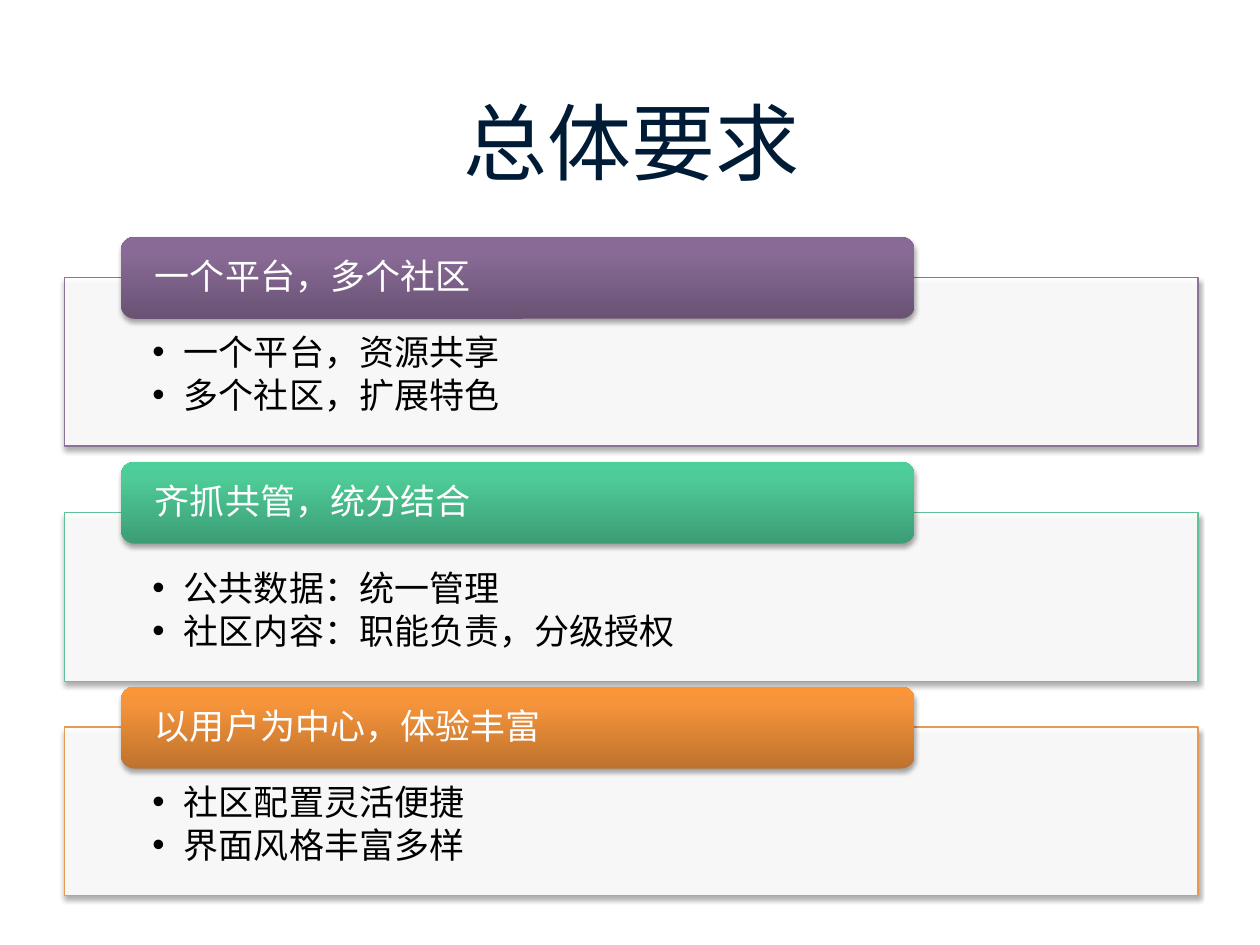
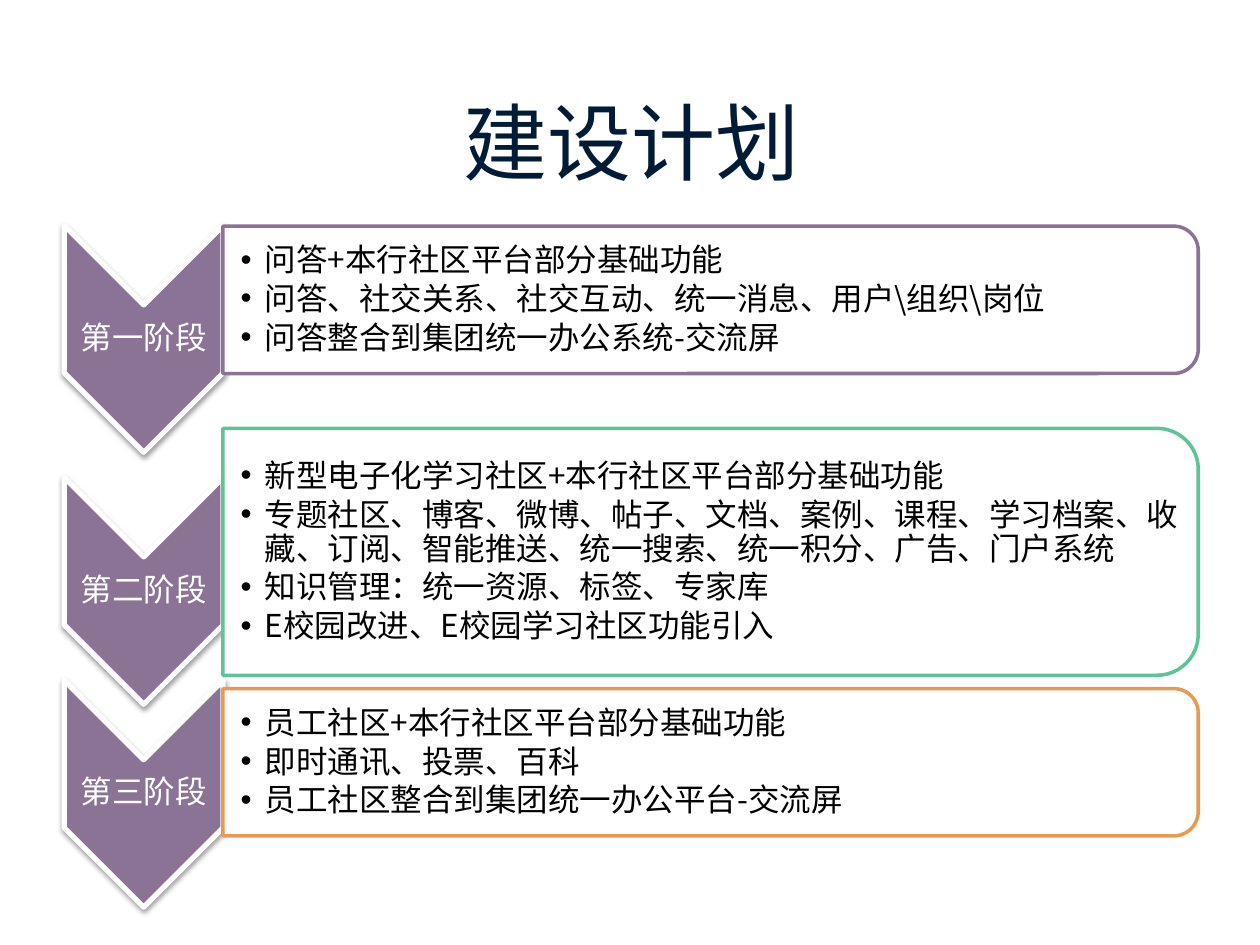
"""Builds two slides: overall requirements and the construction plan."""
from lxml import etree
from pptx import Presentation
from pptx import util as u
from pptx.dml.color import RGBColor
from pptx.enum import shapes, text
from pptx.oxml import ns

CELL = u.Inches(0.1)
LEFT, WIDTH = 5.1, 90
LATIN, CHINESE = "Arial", "Noto Sans CJK SC"
NAVY, WHITE, BLACK = "001B36", "FFFFFF", "000000"
PURPLE, GREEN, ORANGE = "8B7396", "5FC399", "E89A53"
CORNER_SHARE = 0.1667 * 0.293

REQUIREMENTS = [
    ("一个平台，多个社区", ["一个平台，资源共享", "多个社区，扩展特色"],
     22, PURPLE, ("695274", "896A96", "8A6A98")),
    ("齐抓共管，统分结合", ["公共数据：统一管理", "社区内容：职能负责，分级授权"],
     40.7, GREEN, ("3C9D74", "4ECB97", "4CCF98")),
    ("以用户为中心，体验丰富", ["社区配置灵活便捷", "界面风格丰富多样"],
     57.7, ORANGE, ("BE722D", "F6943B", "FB9537")),
]
STAGES = [
    ("第一阶段", 17.9, 17.95, 11.7, PURPLE,
     ["问答+本行社区平台部分基础功能",
      "问答、社交关系、社交互动、统一消息、用户\\组织\\岗位",
      "问答整合到集团统一办公系统-交流屏"]),
    ("第二阶段", 37.9, 34, 19.6, GREEN,
     ["新型电子化学习社区+本行社区平台部分基础功能",
      "专题社区、博客、微博、帖子、文档、案例、课程、学习档案、收藏、"
      "订阅、智能推送、统一搜索、统一积分、广告、门户系统",
      "知识管理：统一资源、标签、专家库",
      "E校园改进、E校园学习社区功能引入"]),
    ("第三阶段", 54, 54.65, 11.7, ORANGE,
     ["员工社区+本行社区平台部分基础功能",
      "即时通讯、投票、百科",
      "员工社区整合到集团统一办公平台-交流屏"]),
]


def rgb(value):
    """Turn a hex string into a colour."""
    return RGBColor.from_string(value)


def cells(*counts):
    """Turn counts of grid cells into lengths."""
    return [u.Emu(round(count * CELL)) for count in counts]


def add_child(parent, tag, **attributes):
    """Append a drawing element with the given attributes."""
    values = {key: str(value) for key, value in attributes.items()}
    return etree.SubElement(parent, ns.qn(tag), values)


def add_form(page, kind, area, fill=None, line=None, weight=0, turned=False):
    """Add a preset shape covering the area, turned a quarter if asked."""
    left, top, width, height = area
    if turned:
        left, top = left + (width - height) / 2, top + (height - width) / 2
        width, height = height, width
    shape = page.shapes.add_shape(kind, *cells(left, top, width, height))
    shape.rotation = 90 if turned else 0
    shape.shadow.inherit = False
    if fill:
        shape.fill.solid()
        shape.fill.fore_color.rgb = rgb(fill)
    if line:
        shape.line.color.rgb = rgb(line)
        shape.line.width = u.Pt(weight)
    else:
        shape.line.fill.background()
    return shape


def set_shadow(shape, opacity, distance):
    """Give a shape a soft black shadow below it."""
    effects = shape._element.spPr.find(ns.qn("a:effectLst"))
    shadow = add_child(effects, "a:outerShdw", blurRad=u.Pt(3.1), dist=u.Pt(distance),
                       dir=5400000, rotWithShape=0)
    color = add_child(shadow, "a:srgbClr", val=BLACK)
    add_child(color, "a:alpha", val=opacity * 1000)


def set_translucent(shape):
    """Make a solid fill ninety percent opaque."""
    color = shape._element.spPr.find(ns.qn("a:solidFill"))[0]
    add_child(color, "a:alpha", val=90000)


def set_gradient(shape, colors):
    """Shade a shape upwards through three colours."""
    shape.fill.gradient()
    shape.fill.gradient_angle = 90
    stops = shape._element.spPr.find(ns.qn("a:gradFill")).find(ns.qn("a:gsLst"))
    stops.clear()
    for position, color in zip((0, 80, 100), colors):
        stop = add_child(stops, "a:gs", pos=position * 1000)
        add_child(stop, "a:srgbClr", val=color)


def add_text(page, area, lines, size, color, font=CHINESE, align=text.PP_ALIGN.LEFT,
             anchor=text.MSO_ANCHOR.MIDDLE, margins=(0.1, 0.1, 0.1, 0.1), spacing=None):
    """Add a text box with one paragraph per line and return its paragraphs."""
    frame = page.shapes.add_textbox(*cells(*area)).text_frame
    frame.word_wrap = True
    frame.vertical_anchor = anchor
    (frame.margin_left, frame.margin_top,
     frame.margin_right, frame.margin_bottom) = cells(*margins)
    frame.text = "\n".join(lines)
    for para in frame.paragraphs:
        para.alignment = align
        para.line_spacing = spacing
        for span in para.runs:
            span.font.size = u.Pt(size)
            span.font.name = font
            span.font.color.rgb = rgb(color)
            add_child(span.font._element, "a:ea", typeface=CHINESE)
    return frame.paragraphs


def add_bullets(page, area, lines, size, indent, **options):
    """Add a bulleted list with a hanging indent."""
    hang = cells(indent)[0]
    for para in add_text(page, area, lines, size, BLACK, spacing=u.Pt(size * 1.08), **options):
        para.level = 1
        para.space_after = u.Pt(size * 0.15)
        properties = para._p.get_or_add_pPr()
        properties.set("marL", str(hang))
        properties.set("indent", str(-hang))
        add_child(properties, "a:buFont", typeface=LATIN)
        add_child(properties, "a:buChar", char="•")


def add_page(deck, title):
    """Add a blank page with the shared title."""
    page = deck.slides.add_slide(deck.slide_layouts[6])
    add_text(page, (LEFT, 6.8, WIDTH, 8.7), [title], 48, NAVY, LATIN, text.PP_ALIGN.CENTER)
    return page


def add_requirement(page, row, heading, points, top, color, shades):
    """Add a bordered panel of points under a rounded heading."""
    panel = (LEFT, top, WIDTH, 13.4)
    box = add_form(page, shapes.MSO_SHAPE.RECTANGLE, panel, WHITE, color, 0.75)
    set_translucent(box)
    set_shadow(box, 35, 1.8)
    add_bullets(page, panel, points, 20, 2.5, anchor=text.MSO_ANCHOR.TOP,
                margins=(7, 4.6, 7, 1.6))
    tab = (LEFT + WIDTH * 0.05, 18.8 + row * 17.85, WIDTH * 0.7, 6.5)
    band = add_form(page, shapes.MSO_SHAPE.ROUNDED_RECTANGLE, tab)
    set_gradient(band, shades)
    set_shadow(band, 35, 1.8)
    add_text(page, tab, [heading], 20, WHITE, margins=(2.7, 0, 2.7, 0), spacing=0.9)


def add_stage(page, label, arrow_top, top, height, color, points):
    """Add a downward chevron with its label and the box of points beside it."""
    arrow_width = 12.6
    arrow = add_form(page, shapes.MSO_SHAPE.CHEVRON, (LEFT, arrow_top, arrow_width, 18),
                     PURPLE, WHITE, 3, turned=True)
    set_shadow(arrow, 38, 1.6)
    add_text(page, (LEFT, arrow_top + arrow_width / 2, arrow_width, 5.4), [label], 18, WHITE,
             LATIN, text.PP_ALIGN.CENTER, spacing=0.9)
    left, width = LEFT + arrow_width, WIDTH - arrow_width
    box = add_form(page, shapes.MSO_SHAPE.ROUND_2_SAME_RECTANGLE, (left, top, width, height),
                   WHITE, color, 2, turned=True)
    set_translucent(box)
    corner = height * CORNER_SHARE
    add_bullets(page, (left, top + corner, width - corner, height - 2 * corner), points, 18,
                1.9, margins=(1.4, 0.1, 0.1, 0.1))


def main():
    """Build and save the deck."""
    deck = Presentation()
    deck.slide_width, deck.slide_height = cells(100, 75)
    page = add_page(deck, "总体要求")
    for row, requirement in enumerate(REQUIREMENTS):
        add_requirement(page, row, *requirement)
    page = add_page(deck, "建设计划")
    for stage in STAGES:
        add_stage(page, *stage)
    deck.save("out.pptx")


if __name__ == "__main__":
    main()
